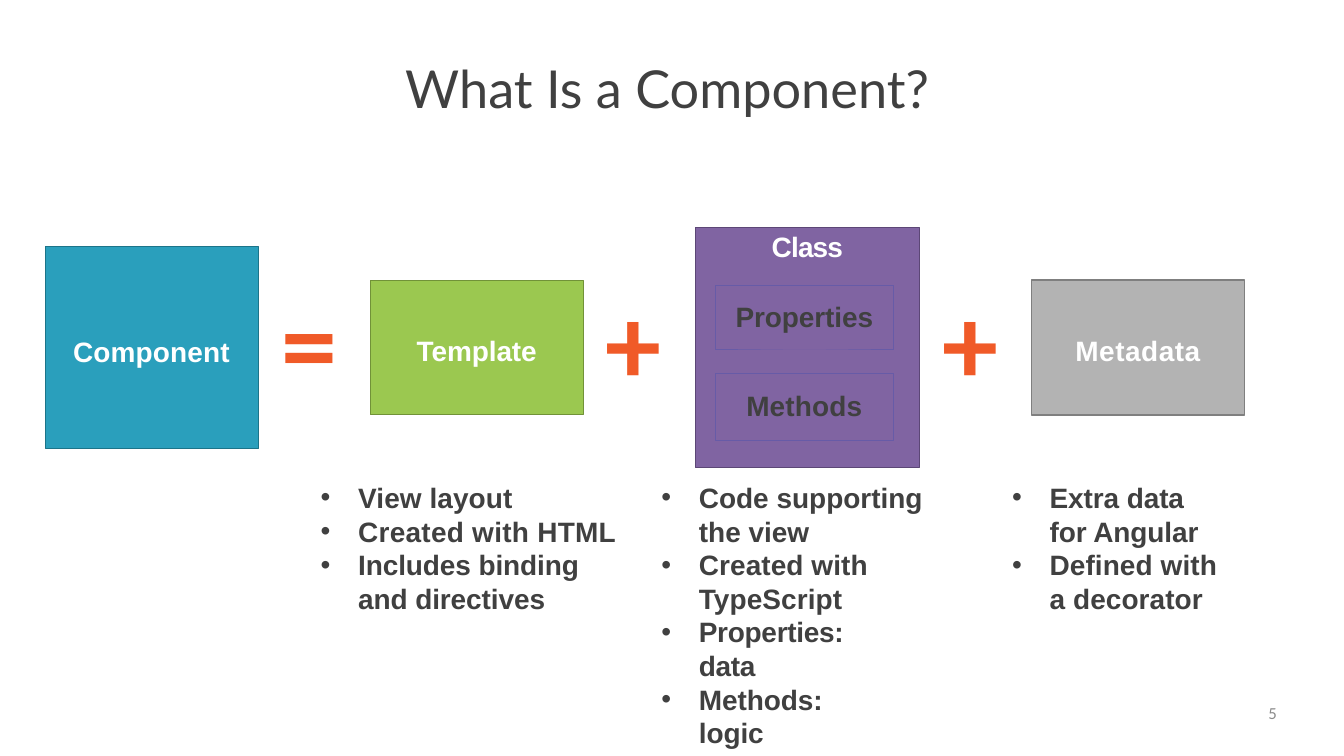
from dataclasses import dataclass

from lxml.etree import SubElement
from pptx import Presentation
from pptx.dml.color import RGBColor
from pptx.enum.shapes import MSO_SHAPE as Preset
from pptx.enum.text import MSO_ANCHOR as Anchor, PP_ALIGN as Align
from pptx.oxml.ns import qn
from pptx.slide import Slide
from pptx.text.text import TextFrame, _Paragraph as Paragraph
from pptx.util import Inches, Pt

COLORS = {
    "teal": "2A9FBC", "teal_edge": "1C7489",
    "green": "9BC850", "green_edge": "719238",
    "purple": "8064A2", "purple_edge": "5C4776",
    "gray": "B3B3B3", "gray_edge": "7F7F7F",
    "member_edge": "675BA7", "orange": "F05A28",
    "ink": "404040", "white": "FFFFFF", "muted": "8C8C8C",
}


@dataclass(frozen=True)
class Style:
    font: str
    size: float
    color: str
    bold: bool = False


TITLE = Style("Lato", 56, "ink")
LABEL = Style("Arial", 30, "white", True)
BODY = Style("Arial", 30, "ink", True)
OPERATOR = Style("Calibri", 120, "orange", True)
PAGE = Style("Calibri", 18, "muted")


@dataclass(frozen=True)
class Block:
    label: str
    left: float
    top: float
    width: float
    height: float
    inset: float
    fill: str | None
    edge: str
    edge_width: float = 1
    style: Style = LABEL
    tracking: float = 0


@dataclass(frozen=True)
class Caption:
    text: str
    left: float
    top: float
    width: float
    height: float
    style: Style
    align: Align = Align.LEFT
    inset: float = 0.01
    tracking: float = 0


@dataclass(frozen=True)
class Bullet:
    text: str
    right_margin: float = 0
    tracking: float = 0


@dataclass(frozen=True)
class BulletList:
    left: float
    width: float
    height: float
    indent: float
    items: tuple[Bullet, ...]


BLOCKS = (
    Block("Component", 0.67, 3.67, 3.17, 3, 1.31, "teal", "teal_edge", tracking=0.2),
    Block("Template", 5.51, 4.17, 3.17, 2, 0.79, "green", "green_edge", tracking=-0.1),
    Block("Class", 10.35, 3.38, 3.33, 3.58, 0.04, "purple", "purple_edge", tracking=-0.9),
    Block("Properties", 10.64, 4.24, 2.66, 0.95, 0.21, None, "member_edge", 0.5, BODY, -0.1),
    Block("Methods", 10.64, 5.55, 2.66, 1, 0.23, None, "member_edge", 0.5, BODY, 0.2),
    Block("Metadata", 15.35, 4.17, 3.17, 2, 0.79, "gray", "gray_edge", 2, tracking=0.6),
)

CAPTIONS = (
    Caption("What Is a Component?", 6.03, 0.82, 7.94, 0.96, TITLE),
    Caption("=", 4.19, 4.05, 0.89, 2.03, OPERATOR),
    Caption("+", 9.01, 4.05, 0.92, 2.03, OPERATOR),
    Caption("+", 14.02, 4.05, 0.92, 2.03, OPERATOR),
    Caption("5", 14.4, 10.46, 4.6, 0.56, PAGE, Align.RIGHT, 0),
)

LIST_TOP = 7.14
HANGING = 0.56
LISTS = (
    BulletList(4.77, 4.7, 2.03, 0.56, (
        Bullet("View layout", tracking=0.1),
        Bullet("Created with HTML", tracking=0.3),
        Bullet("Includes binding and directives", 0.5, -0.1),
    )),
    BulletList(9.82, 3.92, 3.03, 0.58, (
        Bullet("Code supporting the view"),
        Bullet("Created with TypeScript", tracking=0.1),
        Bullet("Properties: data", 1, -0.3),
        Bullet("Methods: logic", 1, -0.1),
    )),
    BulletList(15.04, 3.43, 2.03, 0.58, (
        Bullet("Extra data for Angular", 0.5, -0.1),
        Bullet("Defined with a decorator", 0.3, 0.1),
    )),
)


def rgb(name: str) -> RGBColor:
    return RGBColor.from_string(COLORS[name])


def prepare_frame(frame: TextFrame, inset: float) -> None:
    settings = {
        "margin_left": 0, "margin_right": 0, "margin_bottom": 0,
        "margin_top": Inches(inset), "word_wrap": True,
        "vertical_anchor": Anchor.TOP,
    }
    for key, value in settings.items():
        setattr(frame, key, value)


def write(paragraph: Paragraph, text: str, style: Style, tracking: float) -> None:
    run = paragraph.add_run()
    run.text = text
    settings = {"name": style.font, "size": Pt(style.size), "bold": style.bold}
    for key, value in settings.items():
        setattr(run.font, key, value)
    run.font.color.rgb = rgb(style.color)
    if tracking:
        run._r.get_or_add_rPr().set("spc", str(round(tracking * 100)))


def draw_block(slide: Slide, block: Block) -> None:
    box = slide.shapes.add_shape(
        Preset.RECTANGLE, Inches(block.left), Inches(block.top),
        Inches(block.width), Inches(block.height))
    box.shadow.inherit = False
    if block.fill:
        box.fill.solid()
        box.fill.fore_color.rgb = rgb(block.fill)
    else:
        box.fill.background()
    box.line.color.rgb = rgb(block.edge)
    box.line.width = Pt(block.edge_width)
    prepare_frame(box.text_frame, block.inset)
    label = box.text_frame.paragraphs[0]
    label.alignment = Align.CENTER
    write(label, block.label, block.style, block.tracking)


def draw_caption(slide: Slide, caption: Caption) -> None:
    frame = slide.shapes.add_textbox(
        Inches(caption.left), Inches(caption.top),
        Inches(caption.width), Inches(caption.height)).text_frame
    prepare_frame(frame, caption.inset)
    line = frame.paragraphs[0]
    line.alignment = caption.align
    write(line, caption.text, caption.style, caption.tracking)


def draw_list(slide: Slide, column: BulletList) -> None:
    frame = slide.shapes.add_textbox(
        Inches(column.left), Inches(LIST_TOP),
        Inches(column.width), Inches(column.height)).text_frame
    prepare_frame(frame, 0.01)
    for index, item in enumerate(column.items):
        entry = frame.add_paragraph() if index else frame.paragraphs[0]
        properties = entry._p.get_or_add_pPr()
        margins = {"marL": column.indent, "marR": item.right_margin, "indent": -HANGING}
        for key, value in margins.items():
            properties.set(key, str(Inches(value)))
        SubElement(properties, qn("a:buFont"), typeface="Arial")
        SubElement(properties, qn("a:buChar"), char="•")
        write(entry, item.text, BODY, item.tracking)


def main() -> None:
    deck = Presentation()
    deck.slide_width, deck.slide_height = Inches(20), Inches(11.25)
    slide = deck.slides.add_slide(deck.slide_layouts[6])
    for block in BLOCKS:
        draw_block(slide, block)
    for caption in CAPTIONS:
        draw_caption(slide, caption)
    for column in LISTS:
        draw_list(slide, column)
    deck.save("out.pptx")


if __name__ == "__main__":
    main()
